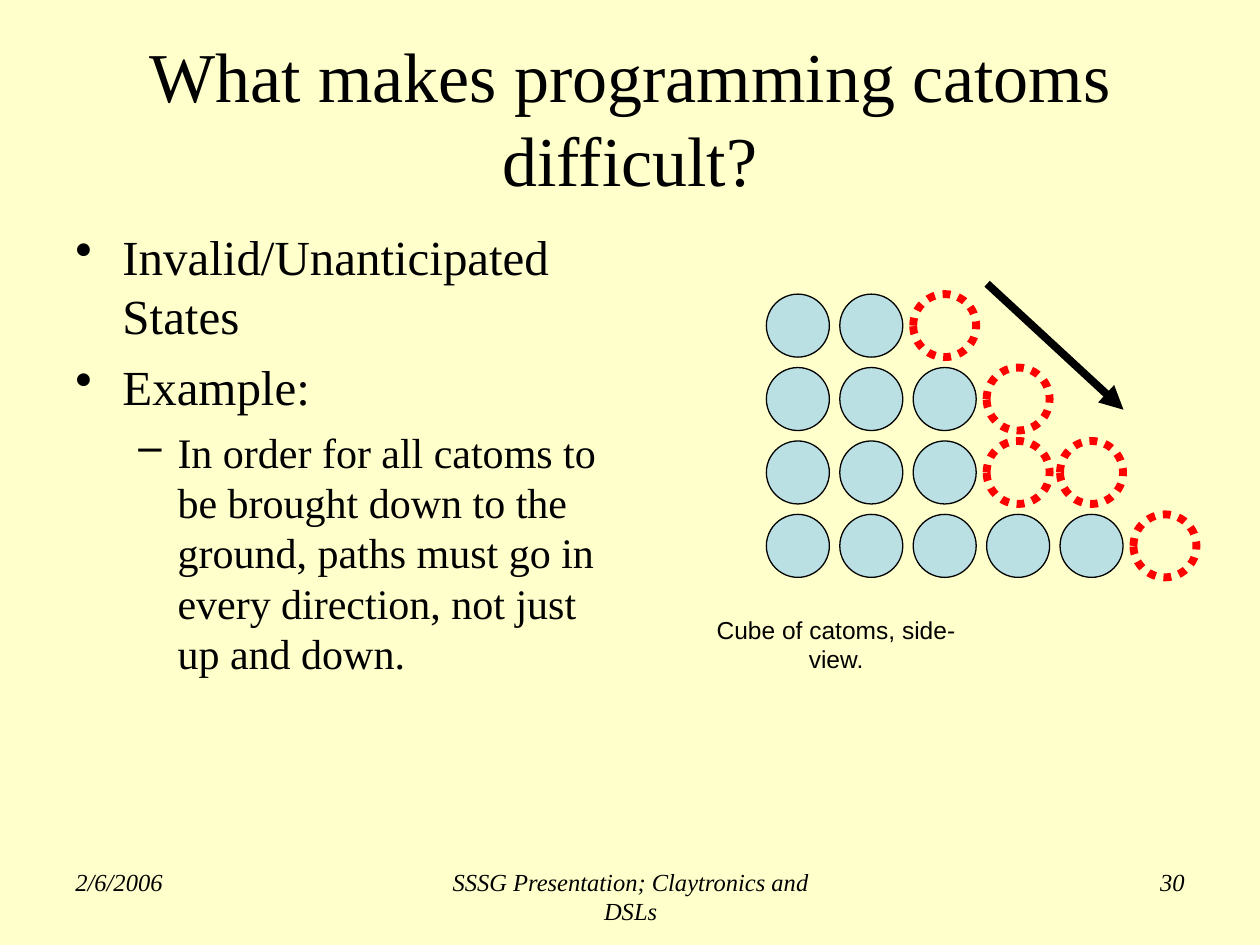
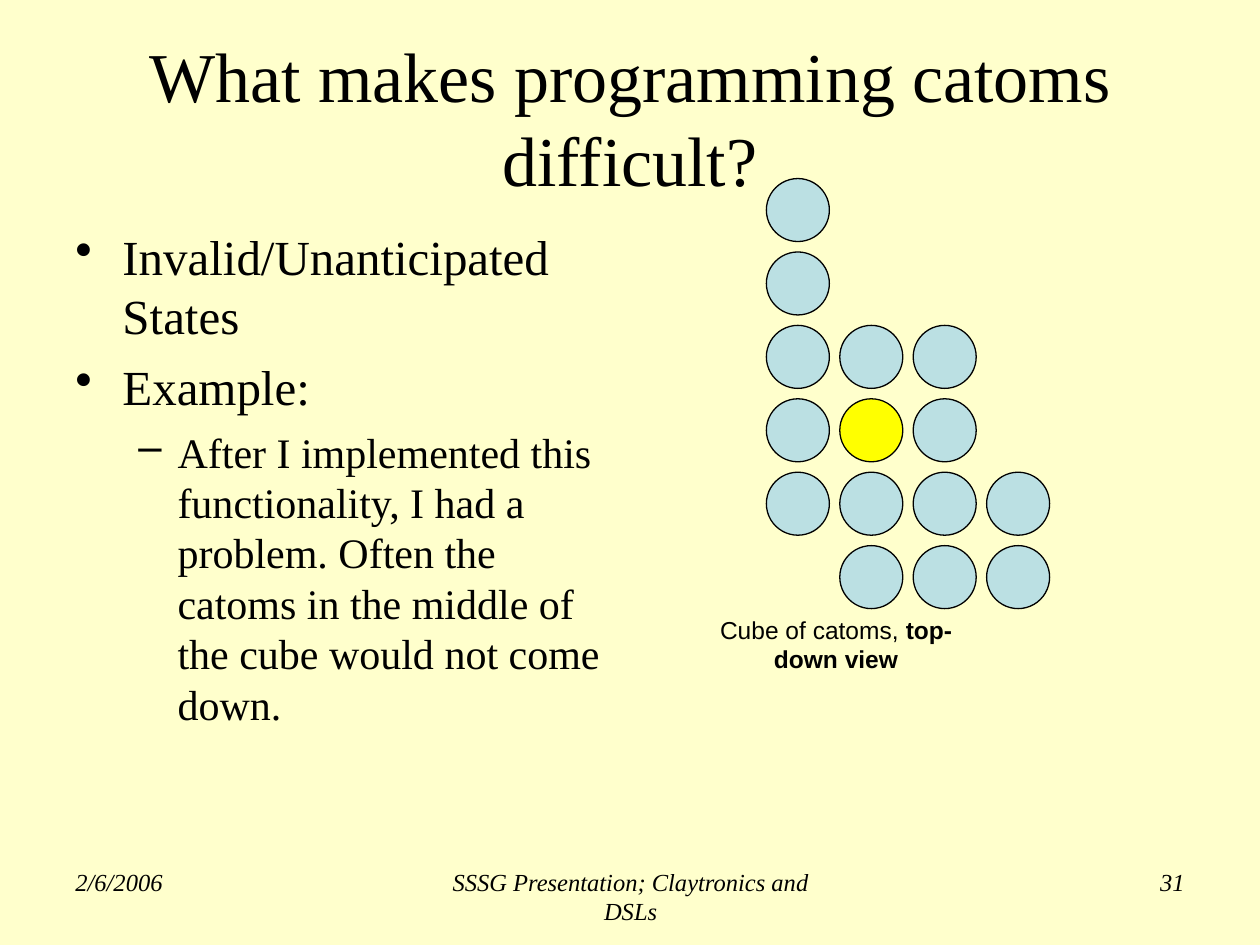
from dataclasses import dataclass

from lxml import etree
from pptx import Presentation
from pptx.dml.color import RGBColor
from pptx.enum import dml, shapes, text
from pptx.oxml.ns import qn
from pptx.util import Cm, Pt


@dataclass(frozen=True)
class Theme:
    background: str = "FFFFCC"
    ink: str = "000000"
    catom: str = "BBE0E3"
    stuck: str = "FFFF00"
    target: str = "FF0000"
    serif: str = "Times New Roman"
    sans: str = "Arial"
    title_size: int = 40
    bullet_size: int = 28
    detail_size: int = 24
    small_size: int = 14
    thin: float = 0.75
    thick: float = 4.5


THEME = Theme()
BLANK_LAYOUT = 6
ALIGN = text.PP_ALIGN

TITLE = "What makes programming catoms difficult?"
BULLETS = ["Invalid/Unanticipated States", "Example:"]
DATE = "2/6/2006"
FOOTER = "SSSG Presentation; Claytronics and DSLs"

CATOM_SIZE = 1.27
CATOM_PITCH = 1.48
GRID_LEFT = 15.45

# One letter per cell: C = catom, S = stuck catom, T = target position
SIDE_VIEW = ["CCT", "CCCT", "CCCTT", "CCCCCT"]
TOP_VIEW = ["C", "C", "CCC", "CSC", "CCCC", " CCC"]


def color(value):
    return RGBColor.from_string(value)


def add_frame(slide, left, top, width, height, anchor=text.MSO_ANCHOR.TOP):
    """Add an empty wrapping text box and return its text frame."""
    box = slide.shapes.add_textbox(Cm(left), Cm(top), Cm(width), Cm(height))
    frame = box.text_frame
    frame.word_wrap = True
    frame.vertical_anchor = anchor
    return frame


def write(paragraph, content, size=THEME.small_size, font=THEME.serif,
          align=ALIGN.LEFT, bold=False, italic=False):
    """Append a formatted run to the paragraph."""
    paragraph.alignment = align
    run = paragraph.add_run()
    run.text = content
    run.font.name = font
    run.font.size = Pt(size)
    run.font.bold = bold
    run.font.italic = italic
    run.font.color.rgb = color(THEME.ink)


def set_bullet(paragraph, mark, margin, hanging, space_before):
    paragraph.space_before = Pt(space_before)
    properties = paragraph._p.get_or_add_pPr()
    properties.set("marL", str(Cm(margin)))
    properties.set("indent", str(-Cm(hanging)))
    etree.SubElement(properties, qn("a:buChar"), char=mark)


def add_title(slide):
    frame = add_frame(slide, 1.27, 0.76, 22.86, 3.18, text.MSO_ANCHOR.MIDDLE)
    write(frame.paragraphs[0], TITLE, size=THEME.title_size, align=ALIGN.CENTER)


def add_body(slide, detail):
    frame = add_frame(slide, 1.27, 4.45, 11.23, 12.57)
    for index, bullet in enumerate(BULLETS):
        paragraph = frame.add_paragraph() if index else frame.paragraphs[0]
        write(paragraph, bullet, size=THEME.bullet_size)
        set_bullet(paragraph, "•", margin=0.95, hanging=0.95, space_before=7)
    paragraph = frame.add_paragraph()
    paragraph.level = 1
    write(paragraph, detail, size=THEME.detail_size)
    set_bullet(paragraph, "–", margin=2.06, hanging=0.79, space_before=6)


def add_footers(slide, number):
    for left, width, content, align in (
        (8.69, 8.05, FOOTER, ALIGN.CENTER),
        (18.21, 5.92, str(number), ALIGN.RIGHT),
        (1.27, 5.92, DATE, ALIGN.LEFT),
    ):
        frame = add_frame(slide, left, 17.35, width, 1.32)
        write(frame.paragraphs[0], content, align=align, italic=True)


def add_caption(slide, plain, strong=""):
    paragraph = add_frame(slide, 13.77, 12.27, 6.17, 1.45).paragraphs[0]
    write(paragraph, plain, font=THEME.sans, align=ALIGN.CENTER)
    if strong:
        write(paragraph, strong, font=THEME.sans, align=ALIGN.CENTER, bold=True)


def add_circle(slide, left, top, fill=None):
    """Add a filled catom, or a dotted target ring when there is no fill."""
    circle = slide.shapes.add_shape(
        shapes.MSO_SHAPE.OVAL, Cm(left), Cm(top), Cm(CATOM_SIZE), Cm(CATOM_SIZE))
    circle.shadow.inherit = False
    if fill:
        circle.fill.solid()
        circle.fill.fore_color.rgb = color(fill)
    else:
        circle.fill.background()
        circle.line.dash_style = dml.MSO_LINE.ROUND_DOT
    circle.line.color.rgb = color(THEME.ink if fill else THEME.target)
    circle.line.width = Pt(THEME.thin if fill else THEME.thick)


def add_catoms(slide, rows, top):
    fills = {"C": THEME.catom, "S": THEME.stuck, "T": None}
    for row, cells in enumerate(rows):
        for column, cell in enumerate(cells):
            if cell in fills:
                add_circle(slide, GRID_LEFT + column * CATOM_PITCH,
                           top + row * CATOM_PITCH, fills[cell])


def add_arrow(slide, start_x, start_y, end_x, end_y):
    arrow = slide.shapes.add_connector(
        shapes.MSO_CONNECTOR.STRAIGHT,
        Cm(start_x), Cm(start_y), Cm(end_x), Cm(end_y))
    arrow.line.color.rgb = color(THEME.ink)
    arrow.line.width = Pt(THEME.thick)
    etree.SubElement(arrow.line._get_or_add_ln(), qn("a:tailEnd"), type="triangle")
    etree.SubElement(arrow._element.spPr, qn("a:effectLst"))


def add_content_slide(presentation, number, detail):
    """Add a slide with the shared title, bullets and footers."""
    slide = presentation.slides.add_slide(presentation.slide_layouts[BLANK_LAYOUT])
    add_title(slide)
    add_body(slide, detail)
    add_footers(slide, number)
    return slide


def main():
    presentation = Presentation()
    presentation.slide_width = Cm(25.4)
    presentation.slide_height = Cm(19.05)
    background = presentation.slide_master.background.fill
    background.solid()
    background.fore_color.rgb = color(THEME.background)

    side = add_content_slide(
        presentation, 30,
        "In order for all catoms to be brought down to the ground, "
        "paths must go in every direction, not just up and down.")
    add_catoms(side, SIDE_VIEW, top=5.93)
    add_arrow(side, 19.9, 5.72, 22.65, 8.26)
    add_caption(side, "Cube of catoms, side-view.")

    top_down = add_content_slide(
        presentation, 31,
        "After I implemented this functionality, I had a problem. Often the "
        "catoms in the middle of the cube would not come down.")
    add_catoms(top_down, TOP_VIEW, top=3.6)
    add_caption(top_down, "Cube of catoms, ", strong="top-down view")

    presentation.save("out.pptx")


if __name__ == "__main__":
    main()
